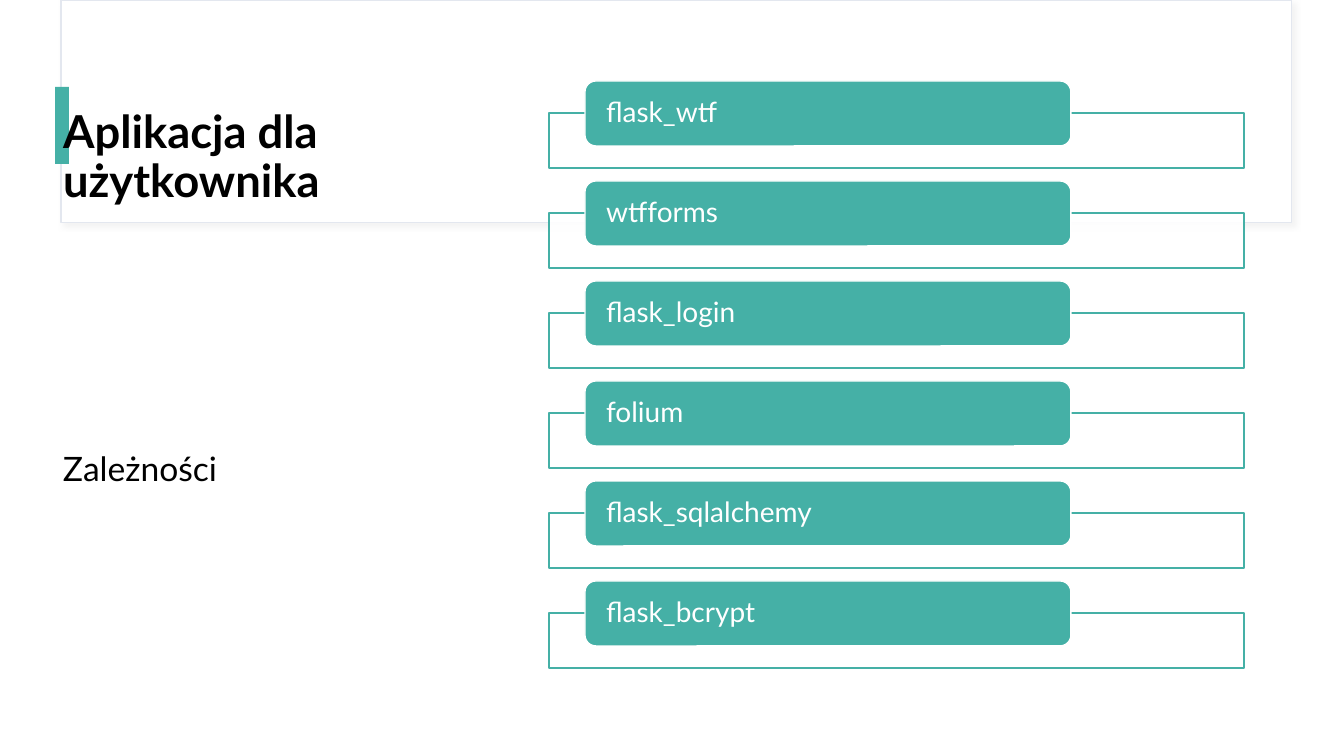
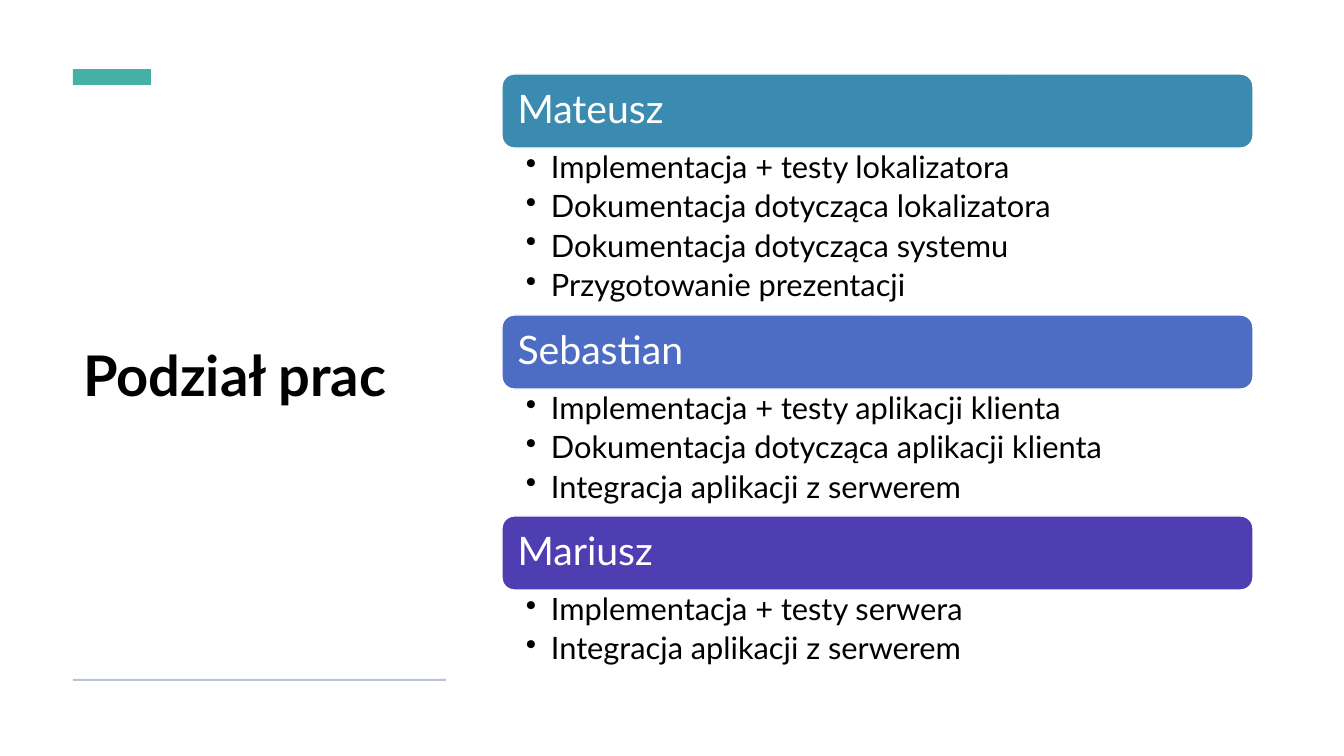
from lxml import etree
from pptx import Presentation
from pptx.dml.color import RGBColor
from pptx.enum.shapes import MSO_SHAPE
from pptx.enum.text import MSO_ANCHOR, MSO_AUTO_SIZE, PP_ALIGN
from pptx.oxml.ns import qn
from pptx.util import Emu, Pt

RECT, ROUND = MSO_SHAPE.RECTANGLE, MSO_SHAPE.ROUNDED_RECTANGLE
TOP, MIDDLE, BOTTOM = MSO_ANCHOR.TOP, MSO_ANCHOR.MIDDLE, MSO_ANCHOR.BOTTOM
LEFT, NO_FIT = PP_ALIGN.LEFT, MSO_AUTO_SIZE.NONE

EMU_PER_PX = 12192000 / 1344
FONT = "Lato"
WHITE, BLACK, TEAL = "FFFFFF", "000000", "45B0A6"
FRAME_LINE, FRAME_SHADOW, RULE = "E3E7EF", "D9D9D9", "B9C2D8"
TITLE_ONLY = 5

PACKAGES = ["flask_wtf", "wtfforms", "flask_login", "folium",
            "flask_sqlalchemy", "flask_bcrypt"]
TASKS = [
    ("Mateusz", "3B8BB1", ["Implementacja + testy lokalizatora",
                           "Dokumentacja dotycząca lokalizatora",
                           "Dokumentacja dotycząca systemu",
                           "Przygotowanie prezentacji"]),
    ("Sebastian", "4D6CC3", ["Implementacja + testy aplikacji klienta",
                             "Dokumentacja dotycząca aplikacji klienta",
                             "Integracja aplikacji z serwerem"]),
    ("Mariusz", "4F3DB2", ["Implementacja + testy serwera",
                           "Integracja aplikacji z serwerem"]),
]


def px(n):
    return Emu(round(n * EMU_PER_PX))


def rgb(color):
    return RGBColor.from_string(color)


def add_box(slide, box, fill, line=None, width=1, shape=RECT):
    sp = slide.shapes.add_shape(shape, *map(px, box))
    sp.shadow.inherit = False
    sp.fill.solid()
    sp.fill.fore_color.rgb = rgb(fill)
    if line:
        sp.line.color.rgb = rgb(line)
        sp.line.width = Pt(width)
    else:
        sp.line.fill.background()
    return sp


def set_alpha(color_element, percent):
    etree.SubElement(color_element, qn("a:alpha"), val=str(percent * 1000))


def set_insets(tf, left, top, right, bottom):
    tf.margin_left, tf.margin_top = px(left), px(top)
    tf.margin_right, tf.margin_bottom = px(right), px(bottom)


def format_text(tf, size, color, anchor, bold=False, spacing=0.9):
    tf.vertical_anchor = anchor
    for p in tf.paragraphs:
        p.alignment = LEFT
        p.line_spacing = spacing
        for r in p.runs:
            r.font.name = FONT
            r.font.size = Pt(size)
            r.font.bold = bold
            r.font.color.rgb = rgb(color)


def set_title(slide, text, box, size, anchor):
    """Fill the title placeholder and bring it in front of the decoration."""
    sp = slide.shapes.title
    sp.left, sp.top, sp.width, sp.height = map(px, box)
    tf = sp.text_frame
    tf.text = text
    tf.word_wrap = True
    tf.auto_size = NO_FIT
    format_text(tf, size, BLACK, anchor, bold=True)
    slide.shapes._spTree.append(sp._element)


def add_header_frame(slide):
    sp = add_box(slide, (61, 0, 1231, 223), WHITE, FRAME_LINE, 0.75)
    effects = sp._element.spPr.find(qn("a:effectLst"))
    shadow = etree.SubElement(effects, qn("a:outerShdw"), blurRad=str(Pt(4)),
                              dist=str(Pt(3)), dir=str(45 * 60000),
                              algn="tl", rotWithShape="0")
    color = etree.SubElement(shadow, qn("a:srgbClr"), val=FRAME_SHADOW)
    set_alpha(color, 30)


def add_label(slide, text, box, size):
    tf = slide.shapes.add_textbox(*map(px, box)).text_frame
    tf.text = text
    tf.word_wrap = False
    format_text(tf, size, BLACK, TOP, spacing=1.0)


def add_bar(slide, text, box, fill, size, insets):
    """Rounded bar with its text inside."""
    tf = add_box(slide, box, fill, WHITE, shape=ROUND).text_frame
    tf.text = text
    tf.word_wrap = True
    set_insets(tf, *insets)
    format_text(tf, size, WHITE, MIDDLE)


def add_package(slide, name, top):
    outline = add_box(slide, (549, top + 32, 695, 55), WHITE, TEAL)
    set_alpha(outline._element.spPr.find(".//" + qn("a:srgbClr")), 90)
    add_bar(slide, name, (585, top, 486, 65), TEAL, 20, (18, 0, 18, 0))


def add_bullets(slide, items, box):
    tf = slide.shapes.add_textbox(*map(px, box)).text_frame
    tf.text = "\n".join(items)
    tf.word_wrap = True
    set_insets(tf, 24, 4, 22, 4)
    for p in tf.paragraphs:
        p.space_after = Pt(4.4)
        pPr = p._p.get_or_add_pPr()
        pPr.set("marL", str(px(25)))
        pPr.set("indent", str(-px(25)))
        etree.SubElement(pPr, qn("a:buChar"), char="•")
    format_text(tf, 22, BLACK, TOP)


def build_dependencies(slide):
    add_header_frame(slide)
    add_box(slide, (55, 87, 14, 77), TEAL)
    set_title(slide, "Aplikacja dla użytkownika", (53, 97, 420, 115), 32.4, BOTTOM)
    add_label(slide, "Zależności", (53, 443, 190, 50), 24)
    for i, name in enumerate(PACKAGES):
        add_package(slide, name, 81 + 100 * i)


def build_work_split(slide):
    set_title(slide, "Podział prac", (73, 106, 373, 545), 40, MIDDLE)
    add_box(slide, (73, 69, 78, 16), TEAL)
    add_box(slide, (73, 679, 373, 2), RULE)
    left, top, width, bar_height = 502, 74, 751, 74
    for person, color, items in TASKS:
        add_bar(slide, person, (left, top, width, bar_height), color, 28,
                (12, 12, 12, 12))
        top += bar_height
        list_height = 40 * len(items) + 7
        add_bullets(slide, items, (left, top, width, list_height))
        top += list_height


def main():
    prs = Presentation()
    prs.slide_width, prs.slide_height = px(1344), px(756)
    for build in (build_dependencies, build_work_split):
        build(prs.slides.add_slide(prs.slide_layouts[TITLE_ONLY]))
    prs.save("out.pptx")


if __name__ == "__main__":
    main()
